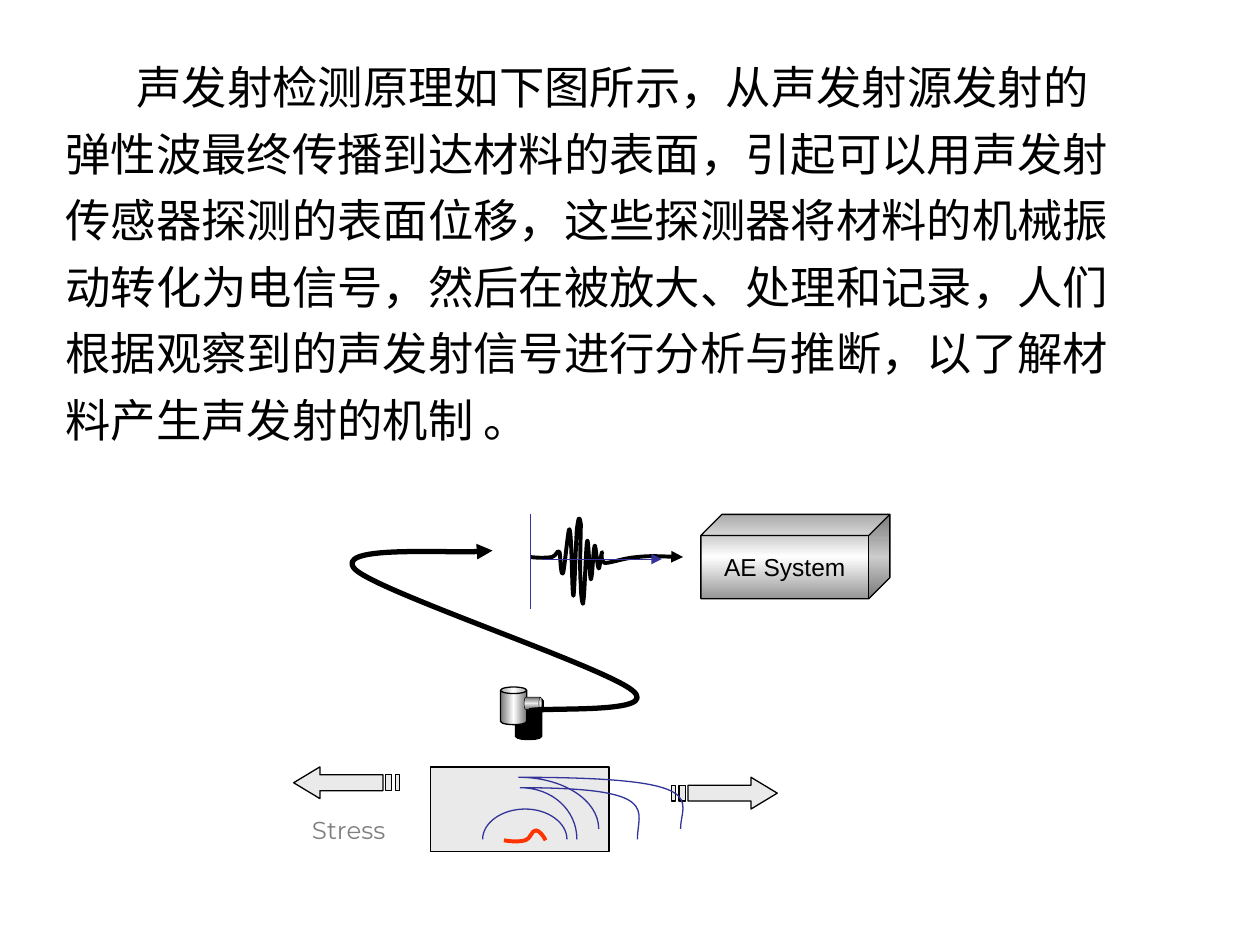
from copy import deepcopy

from lxml.etree import SubElement
from pptx import Presentation
from pptx.dml.color import RGBColor
from pptx.enum.shapes import MSO_CONNECTOR, MSO_SHAPE
from pptx.enum.text import MSO_ANCHOR, PP_ALIGN
from pptx.oxml.ns import qn
from pptx.util import Cm, Pt

COLORS = {
    "black": "000000", "white": "FFFFFF", "specimen": "EAEAEA",
    "wave": "333399", "crack": "FF3300", "label": "808080",
    "sensor": "767676", "plug": "6C6C6C", "system": "969696",
}
BODY = [
    "声发射检测原理如下图所示，从声发射源发射的",
    "弹性波最终传播到达材料的表面，引起可以用声发射",
    "传感器探测的表面位移，这些探测器将材料的机械振",
    "动转化为电信号，然后在被放大、处理和记录，人们",
    "根据观察到的声发射信号进行分析与推断，以了解材",
    "料产生声发射的机制 。",
]
SIGNAL = [
    (10.69, 11.23),
    (10.87, 11.25), (11.02, 11.25), (11.13, 11.23),
    (11.23, 11.2), (11.23, 11.07), (11.28, 11.13),
    (11.3, 11.18), (11.3, 11.63), (11.35, 11.56),
    (11.38, 11.48), (11.46, 10.59), (11.48, 10.67),
    (11.53, 10.74), (11.53, 12.01), (11.56, 12.01),
    (11.58, 12.01), (11.61, 10.92), (11.63, 10.67),
    (11.66, 10.44), (11.68, 10.36), (11.71, 10.57),
    (11.71, 10.74), (11.68, 11.53), (11.71, 11.79),
    (11.71, 12.07), (11.76, 12.27), (11.76, 12.12),
    (11.79, 11.99), (11.81, 10.97), (11.84, 10.9),
    (11.86, 10.82), (11.89, 11.66), (11.91, 11.68),
    (11.94, 11.71), (11.96, 11.05), (11.99, 11),
    (12.01, 10.97), (12.04, 11.43), (12.07, 11.46),
    (12.09, 11.48), (12.12, 11.13), (12.14, 11.13),
    (12.14, 11.1), (12.09, 11.33), (12.19, 11.35),
    (12.32, 11.35), (12.57, 11.25), (12.85, 11.23),
    (13.11, 11.2), (13.61, 11.23), (13.77, 11.23),
]
CABLE = [
    (10.67, 14.33),
    (11.02, 14.25), (13.34, 14.4), (12.75, 13.92),
    (12.17, 13.44), (7.65, 11.94), (7.16, 11.48),
    (6.71, 11), (9.35, 11.18), (9.93, 11.1),
]
CRACK = [
    (10.16, 16.94),
    (10.31, 16.97), (10.49, 16.97), (10.59, 16.94),
    (10.69, 16.92), (10.72, 16.74), (10.8, 16.74),
    (10.87, 16.74), (10.95, 16.84), (11, 16.94),
]
WAVEFRONTS = [
    [(11.63, 16.92), (11.63, 16.33), (11.13, 15.88), (10.49, 15.88),
     (13.36, 15.88), (12.85, 16.33), (12.85, 16.92)],
    [(11.43, 16.92), (11.43, 16.59), (11.05, 16.31), (10.59, 16.31),
     (10.11, 16.31), (9.73, 16.59), (9.73, 16.92)],
    [(12.07, 16.71), (12.07, 16.13), (11.35, 15.67), (10.46, 15.67),
     (14.43, 15.67), (13.72, 16.13), (13.72, 16.71)],
]


def rgb(name):
    """Return the named colour."""
    return RGBColor.from_string(COLORS[name])


def paint(s, fill, line, width):
    """Apply a plain fill, an outline and no shadow."""
    s.shadow.inherit = False
    if fill:
        s.fill.solid()
        s.fill.fore_color.rgb = rgb(fill)
    else:
        s.fill.background()
    s.line.color.rgb = rgb(line)
    s.line.width = Pt(width)


def add_head(s):
    """End the line of a shape with a triangle."""
    SubElement(s._element.spPr.find(qn("a:ln")), qn("a:tailEnd"), type="triangle")


def add_run(p, text, color, **font):
    """Add a run with its font values."""
    r = p.add_run()
    r.text = text
    r.font.color.rgb = rgb(color)
    for name, value in font.items():
        setattr(r.font, name, value)


def set_frame(tf, **values):
    """Set the values of a text frame."""
    for name, value in values.items():
        setattr(tf, name, value)


def add_outline(slide, contours, close, fill, line, width):
    """Add a freeform made of one or more contours."""
    contours = [[(Cm(x), Cm(y)) for x, y in c] for c in contours]
    builder = slide.shapes.build_freeform(*contours[0][0], scale=1.0)
    for i, points in enumerate(contours):
        if i:
            builder.move_to(*points[0])
        builder.add_line_segments(points[1:], close=close)
    s = builder.convert_to_shape()
    paint(s, fill, line, width)
    return s


def add_curve(slide, points, line, width, fill=None):
    """Add an open curve from a start and triples of cubic control points."""
    s = add_outline(slide, [points], False, fill, line, width)
    outline = s._element.spPr.find(".//" + qn("a:pathLst"))[0]
    segments = outline.findall(qn("a:lnTo"))
    for i in range(0, len(segments), 3):
        cubic = SubElement(outline, qn("a:cubicBezTo"))
        for segment in segments[i:i + 3]:
            cubic.append(segment[0])
            outline.remove(segment)
    return s


def add_stress_arrow(slide, tail, middle, way):
    """Add a striped arrow pointing right (1) or left (-1)."""
    stripes = [[(a, -.16), (b, -.16), (b, .16), (a, .16)]
               for a, b in ((0, .08), (.15, .28))]
    arrow = [(.33, -.16), (1.6, -.16), (1.6, -.32), (2.13, 0),
             (1.6, .32), (1.6, .16), (.33, .16)]
    contours = [[(tail + way * x, middle + y) for x, y in c]
                for c in [arrow, *stripes]]
    add_outline(slide, contours, True, "specimen", "black", .75)


def add_axis(slide, x1, y1, x2, y2, width):
    """Add a straight axis without shadow."""
    s = slide.shapes.add_connector(
        MSO_CONNECTOR.STRAIGHT, Cm(x1), Cm(y1), Cm(x2), Cm(y2))
    s.line.color.rgb = rgb("wave")
    s.line.width = Pt(width)
    SubElement(s._element.spPr, qn("a:effectLst"))
    return s


def add_metal(slide, kind, box, edge, middle, angle, width=.75, shadow=0):
    """Add a solid with a metallic gradient and an optional hard shadow."""
    s = slide.shapes.add_shape(kind, *map(Cm, box))
    paint(s, None, "black", width)
    s.adjustments[0] = .25
    s.fill.gradient()
    s.fill.gradient_angle = angle
    stops = s._element.spPr.find(".//" + qn("a:gsLst"))
    stops.append(deepcopy(stops[0]))
    for stop, color, place in zip(s.fill.gradient_stops, (edge, middle, edge), (0, .5, 1)):
        stop.color.rgb = rgb(color)
        stop.position = place
    if shadow:
        effects = s._element.spPr.find(qn("a:effectLst"))
        cast = SubElement(effects, qn("a:outerShdw"), dist=str(Pt(shadow)),
                          dir="2700000", algn="ctr", rotWithShape="0")
        SubElement(cast, qn("a:srgbClr"), val=COLORS["black"])
    return s


def add_body(slide):
    """Add the explanation, its first line indented."""
    tf = slide.shapes.add_textbox(Cm(1.07), Cm(1.07), Cm(23.29), Cm(9.19)).text_frame
    set_frame(tf, word_wrap=True, margin_top=Cm(.13))
    for i, text in enumerate(BODY):
        p = tf.add_paragraph() if i else tf.paragraphs[0]
        p.space_before, p.line_spacing = Pt(7), Pt(31)
        add_run(p, text, "black", size=Pt(25.9), name="Arial")
    tf.paragraphs[0]._p.get_or_add_pPr().set("indent", str(Cm(1.43)))


def main():
    """Build the slide."""
    prs = Presentation()
    prs.slide_width, prs.slide_height = Cm(25.4), Cm(19.05)
    slide = prs.slides.add_slide(prs.slide_layouts[6])
    add_body(slide)

    add_head(add_curve(slide, SIGNAL, "black", 2.25, "white"))
    add_head(add_axis(slide, 10.92, 11.27, 13.34, 11.27, .25))
    add_axis(slide, 10.69, 10.37, 10.69, 12.27, .75)

    specimen = slide.shapes.add_shape(
        MSO_SHAPE.RECTANGLE, Cm(8.68), Cm(15.46), Cm(3.6), Cm(1.7))
    paint(specimen, "specimen", "black", .75)
    add_curve(slide, CRACK, "crack", 2.25)
    tf = slide.shapes.add_textbox(Cm(6.04), Cm(16.31), Cm(1.98), Cm(.71)).text_frame
    set_frame(tf, word_wrap=False, margin_right=0)
    add_run(tf.paragraphs[0], "Stress", "label", size=Pt(14), name="Montserrat")
    add_stress_arrow(slide, 8.05, 15.78, -1)
    add_stress_arrow(slide, 13.54, 15.99, 1)
    for front in WAVEFRONTS:
        add_curve(slide, front, "wave", .75)

    add_metal(slide, MSO_SHAPE.CAN, (10.09, 13.85, .53, .76),
              "sensor", "white", 0, shadow=12.1)
    plug = add_metal(slide, MSO_SHAPE.CAN, (10.62, 14, .25, .36),
                     "plug", "specimen", 0, width=.25, shadow=1.4)
    plug.rotation = 90
    add_head(add_curve(slide, CABLE, "black", 3))

    system = add_metal(slide, MSO_SHAPE.CUBE, (14.13, 10.37, 3.81, 1.7),
                       "system", "white", 90)
    set_frame(system.text_frame, word_wrap=False, vertical_anchor=MSO_ANCHOR.MIDDLE)
    p = system.text_frame.paragraphs[0]
    p.alignment = PP_ALIGN.CENTER
    add_run(p, "AE System", "black", size=Pt(14), name="Arial")
    prs.save("out.pptx")


if __name__ == "__main__":
    main()
